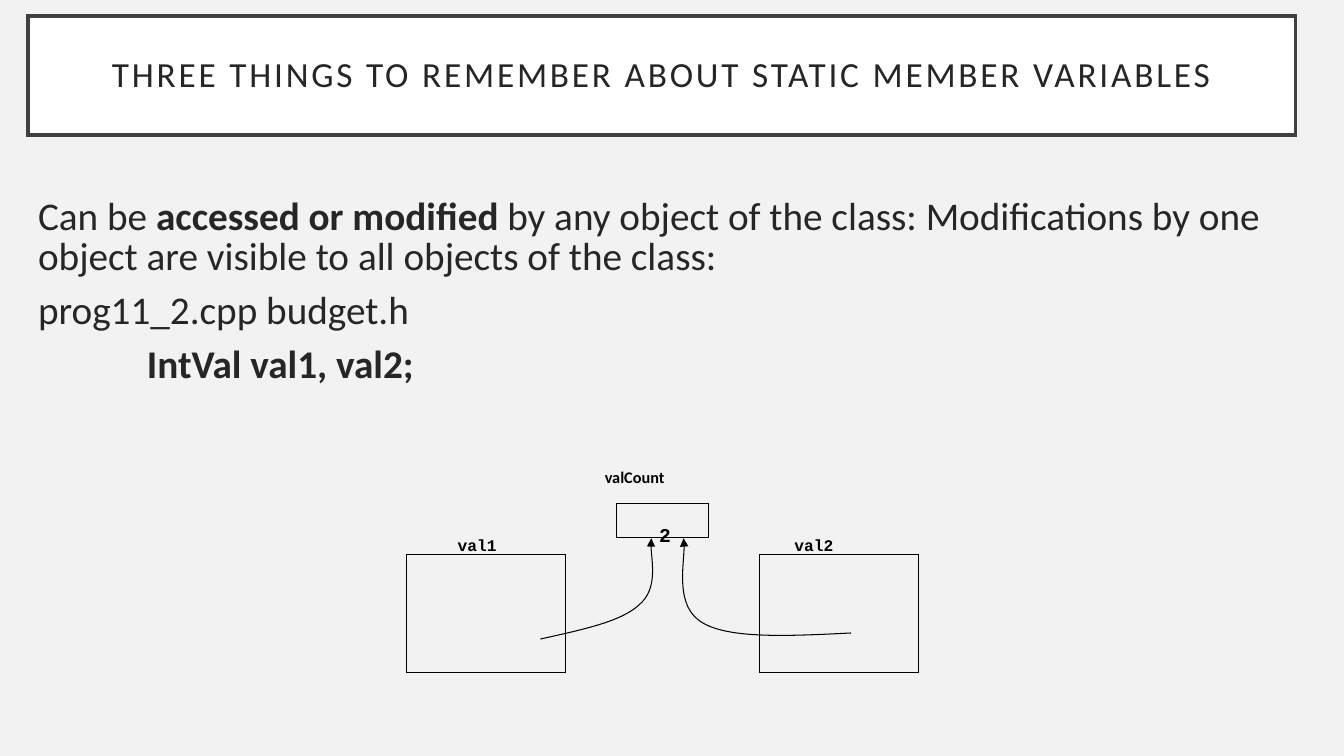
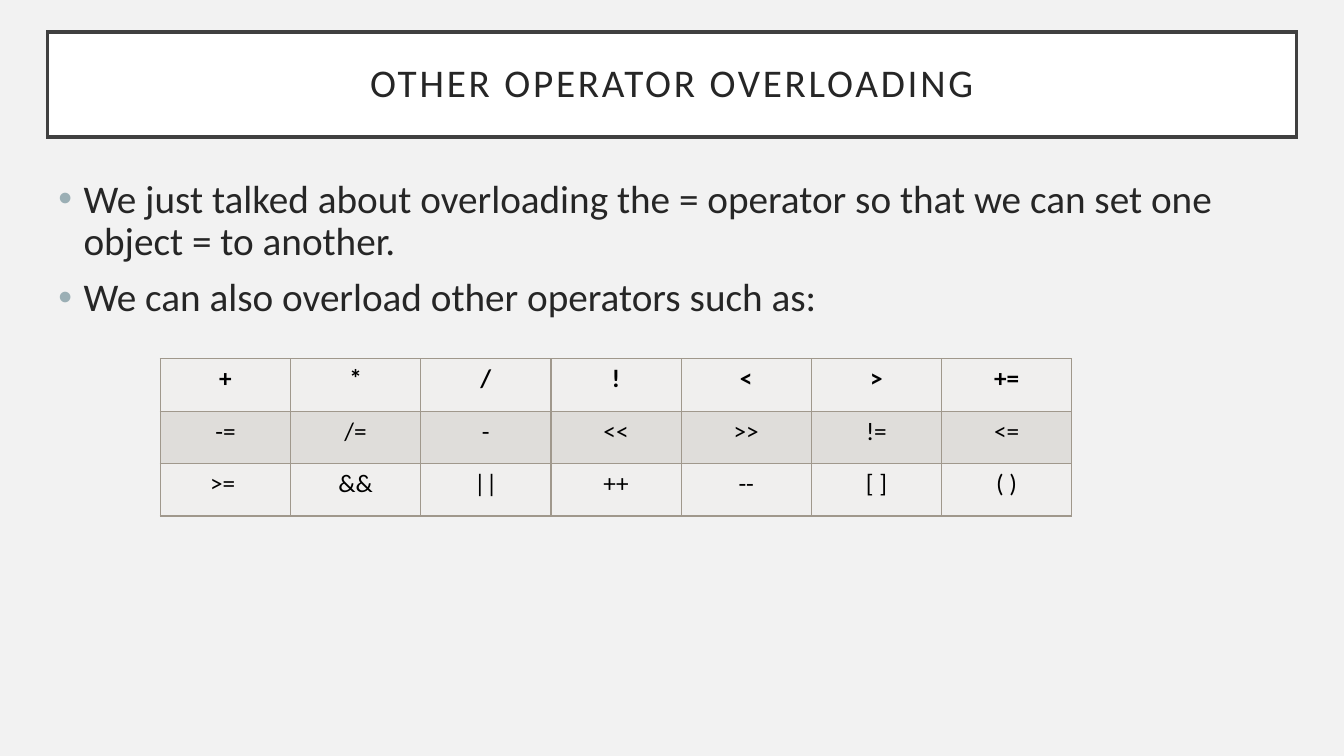
import pptx
import pptx.dml.color
import pptx.enum.shapes
import pptx.enum.text
import pptx.oxml
import pptx.oxml.ns
import pptx.util
from lxml import etree
from pptx.util import Inches

ALIGN = pptx.enum.text.PP_ALIGN
ANCHOR = pptx.enum.text.MSO_ANCHOR
RECTANGLE = pptx.enum.shapes.MSO_SHAPE.RECTANGLE


def color(value):
    return pptx.dml.color.RGBColor.from_string(value)


def add_xml(parent, tag, **attributes):
    return etree.SubElement(parent, pptx.oxml.ns.qn(tag), attributes)


class Deck:
    """Holds the shared style and the current slide."""

    BACKGROUND, FRAME, TEXT, BLACK = "F2F2F2", "404040", "262626", "000000"
    BULLET, GRID, BANDS = "9BAFB5", "A0988C", ("F0EFEE", "DFDDDA")
    FONT, CODE_FONT = "Calibri", "Courier New"
    BODY_SIZE, LABEL_SIZE = 28, 11.6

    def __init__(self):
        self.presentation = pptx.Presentation()
        self.presentation.slide_width = Inches(13.33)
        self.presentation.slide_height = Inches(7.5)
        self.slide = None

    def new_slide(self):
        self.slide = self.presentation.slides.add_slide(self.presentation.slide_layouts[6])
        fill = self.slide.background.fill
        fill.solid()
        fill.fore_color.rgb = color(self.BACKGROUND)

    def add_run(self, paragraph, text, size, tint, bold=False, font=None):
        run = paragraph.add_run()
        run.text = text
        run.font.name = font or self.FONT
        run.font.size = pptx.util.Pt(size)
        run.font.bold = bold
        run.font.color.rgb = color(tint)
        return run

    def outline(self, shape, tint, width):
        """Gives the shape a plain line with square corners and no shadow."""
        shape.shadow.inherit = False
        shape.line.color.rgb = color(tint)
        shape.line.width = pptx.util.Pt(width)
        add_xml(shape.line._get_or_add_ln(), "a:miter", lim="800000")

    def box(self, left, top, width, height, tint=BLACK, line_width=0.75, fill=None):
        shape = self.slide.shapes.add_shape(
            RECTANGLE, Inches(left), Inches(top), Inches(width), Inches(height))
        self.outline(shape, tint, line_width)
        if fill:
            shape.fill.solid()
            shape.fill.fore_color.rgb = color(fill)
        else:
            shape.fill.background()
        return shape

    def title(self, text, left, top, width, height, size):
        shape = self.box(left, top, width, height, self.FRAME, 2.5, "FFFFFF")
        frame = shape.text_frame
        frame.word_wrap = True
        frame.vertical_anchor = ANCHOR.MIDDLE
        frame.margin_left = frame.margin_right = Inches(0.2)
        frame.margin_top = frame.margin_bottom = Inches(0.2)
        paragraph = frame.paragraphs[0]
        paragraph.alignment = ALIGN.CENTER
        paragraph.line_spacing = 0.9
        run = self.add_run(paragraph, text, size, self.TEXT)
        run.font._element.set("spc", "200")

    def text_box(self, left, top, width, height, wrap=True):
        shape = self.slide.shapes.add_textbox(
            Inches(left), Inches(top), Inches(width), Inches(height))
        shape.text_frame.word_wrap = wrap
        return shape.text_frame

    def body(self, left, top, width, height, paragraphs, line_spacing, bulleted=False):
        """Each paragraph is (left indent, [(text, bold), ...])."""
        frame = self.text_box(left, top, width, height)
        for index, (indent, runs) in enumerate(paragraphs):
            paragraph = frame.add_paragraph() if index else frame.paragraphs[0]
            properties = paragraph._p.get_or_add_pPr()
            properties.set("marL", str(Inches(indent)))
            if bulleted:
                properties.set("indent", str(-Inches(indent)))
                add_xml(add_xml(properties, "a:buClr"), "a:srgbClr", val=self.BULLET)
                add_xml(properties, "a:buFont", typeface="Arial")
                add_xml(properties, "a:buChar", char="•")
            paragraph.line_spacing = line_spacing
            if index:
                paragraph.space_before = pptx.util.Pt(10)
            for text, bold in runs:
                self.add_run(paragraph, text, self.BODY_SIZE, self.TEXT, bold)

    def label(self, text, left, top, width, font=None, size=LABEL_SIZE):
        frame = self.text_box(left, top, width, 0.3, wrap=False)
        self.add_run(frame.paragraphs[0], text, size, self.BLACK, True, font)

    def curved_arrow(self, start, *points):
        """Draws cubic curves; every three points are two handles and an end."""
        builder = self.slide.shapes.build_freeform(Inches(start[0]), Inches(start[1]))
        builder.add_line_segments([(Inches(x), Inches(y)) for x, y in points], close=False)
        shape = builder.convert_to_shape()
        shape.fill.background()
        self.outline(shape, self.BLACK, 0.75)
        add_xml(shape.line._get_or_add_ln(), "a:tailEnd", type="triangle")
        segments = list(shape._element.iter(pptx.oxml.ns.qn("a:lnTo")))
        path_element = segments[0].getparent()
        for first in range(0, len(segments), 3):
            curve = add_xml(path_element, "a:cubicBezTo")
            for segment in segments[first:first + 3]:
                curve.append(segment[0])
                path_element.remove(segment)

    def table(self, left, top, width, height, rows):
        table = self.slide.shapes.add_table(
            len(rows), len(rows[0]), Inches(left), Inches(top),
            Inches(width), Inches(height)).table
        for row_index, row in enumerate(rows):
            for column_index, text in enumerate(row):
                cell = table.cell(row_index, column_index)
                self.cell_borders(cell)
                cell.fill.solid()
                cell.fill.fore_color.rgb = color(self.BANDS[row_index % 2])
                paragraph = cell.text_frame.paragraphs[0]
                paragraph.alignment = ALIGN.CENTER
                self.add_run(paragraph, text, 18, self.BLACK, row_index == 0)

    def cell_borders(self, cell):
        properties = cell._tc.get_or_add_tcPr()
        for side in "LRTB":
            line = add_xml(properties, f"a:ln{side}", w=str(pptx.util.Pt(1)))
            add_xml(add_xml(line, "a:solidFill"), "a:srgbClr", val=self.GRID)


def static_members_slide(deck):
    deck.new_slide()
    deck.title("THREE THINGS TO REMEMBER ABOUT STATIC MEMBER VARIABLES",
               0.28, 0.16, 12.57, 1.18, 25.2)
    deck.body(0.28, 1.92, 12.57, 2.4, [
        (0, [("Can be ", False), ("accessed or modified ", True),
             ("by any object of the class: Modifications by one object are visible "
              "to all objects of the class:", False)]),
        (0, [("prog11_2.cpp budget.h", False)]),
        (1.08, [("IntVal val1, val2;", True)]),
    ], 0.85)
    deck.label("valCount", 5.9, 4.59, 1.25)
    deck.box(6.11, 5, 0.92, 0.33)
    for name, box_left, label_left in (("val1", 4.03, 4.44), ("val2", 7.53, 7.78)):
        deck.box(box_left, 5.5, 1.58, 1.17)
        deck.label(name, label_left, 5.26, 0.87, deck.CODE_FONT)
    deck.curved_arrow((5.36, 6.34), (5.76, 6.25), (6.16, 6.17), (6.34, 6),
                      (6.53, 5.84), (6.44, 5.45), (6.46, 5.34))
    deck.curved_arrow((8.44, 6.28), (7.84, 6.31), (7.24, 6.34), (6.97, 6.18),
                      (6.69, 6.02), (6.81, 5.48), (6.78, 5.34))
    deck.label("2", 6.44, 5.14, 0.4, deck.CODE_FONT, 14)


def operators_slide(deck):
    deck.new_slide()
    deck.title("OTHER OPERATOR OVERLOADING", 0.47, 0.32, 12.39, 1.04, 28)
    deck.body(0.48, 1.73, 12.39, 1.6, [
        (0.25, [("We just talked about overloading the = operator so that we can set "
                 "one object = to another.", False)]),
        (0.25, [("We can also overload other operators such as:", False)]),
    ], 0.9, bulleted=True)
    deck.table(1.59, 3.56, 9.04, 1.56, [
        ["+", "*", "/", "!", "<", ">", "+="],
        ["-=", "/=", "-", "<<", ">>", "!=", "<="],
        [">= ", "&&", "||", "++", "--", "[ ]", "( )"],
    ])


def main():
    deck = Deck()
    static_members_slide(deck)
    operators_slide(deck)
    deck.presentation.save("out.pptx")


if __name__ == "__main__":
    main()
